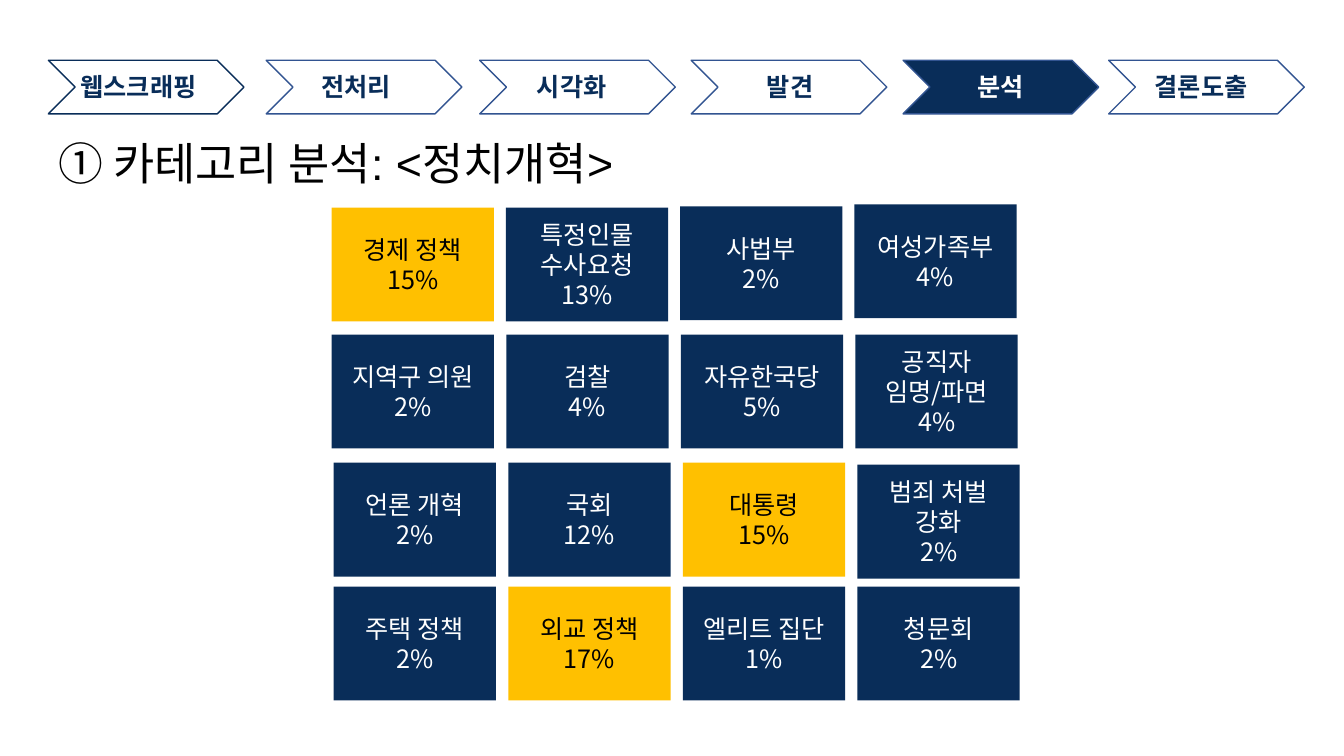
from dataclasses import dataclass

import pptx
import pptx.dml.color
import pptx.enum.shapes
import pptx.enum.text
import pptx.oxml
import pptx.oxml.ns
import pptx.util

Cm, Pt = pptx.util.Cm, pptx.util.Pt
ALIGN = pptx.enum.text.PP_ALIGN
ANCHOR = pptx.enum.text.MSO_ANCHOR
SHAPE = pptx.enum.shapes.MSO_SHAPE

COLORS = {"navy": "092D59", "gold": "FFC000", "line": "325491",
          "white": "FFFFFF", "black": "000000"}
KOREAN = "Noto Sans CJK KR"

# Sizes in centimetres
STEP_TOP, STEP_W, STEP_H = 1.52, 4.93, 1.35
LABEL_TOP, LABEL_H = 1.68, 1.02
TILE_W, TILE_H = 4.09, 2.87


@dataclass
class Step:
    label: str
    left: float
    label_left: float
    label_width: float
    fill: str | None = None
    line: str = "line"
    color: str = "navy"


@dataclass
class Tile:
    text: str
    highlight: bool = False
    drop: float = 0


@dataclass
class TileRow:
    left: float
    top: float
    pitch: float
    tiles: list[Tile]


STEPS = [
    Step("웹스크래핑", 1.22, 1.78, 3.78, fill="white", line="navy"),
    Step("전처리", 6.71, 7.85, 2.51),
    Step("시각화", 12.09, 13.28, 2.51),
    Step("발견", 17.42, 19.08, 2.01),
    Step("분석", 22.76, 22.76, STEP_W, fill="navy", color="white"),
    Step("결론도출", 27.94, 28.85, 3.1),
]

ROWS = [
    TileRow(8.36, 5.23, 4.39, [
        Tile("경제 정책\n15%", highlight=True), Tile("특정인물\n수사요청\n13%"),
        Tile("사법부\n2%", drop=-0.03), Tile("여성가족부\n4%", drop=-0.08)]),
    TileRow(8.36, 8.43, 4.4, [
        Tile("지역구 의원\n2%"), Tile("검찰\n4%"),
        Tile("자유한국당\n5%"), Tile("공직자\n임명/파면\n4%")]),
    TileRow(8.41, 11.66, 4.4, [
        Tile("언론 개혁\n2%"), Tile("국회\n12%"),
        Tile("대통령\n15%", highlight=True), Tile("범죄 처벌 강화\n2%", drop=0.05)]),
    TileRow(8.41, 14.78, 4.4, [
        Tile("주택 정책\n2%"), Tile("외교 정책\n17%", highlight=True),
        Tile("엘리트 집단\n1%"), Tile("청문회\n2%")]),
]


def rgb(name: str) -> pptx.dml.color.RGBColor:
    return pptx.dml.color.RGBColor.from_string(COLORS[name])


def write(sp, text: str, color: str, size: float = 18, font: str = KOREAN,
          bold: bool = False, align=ALIGN.LEFT, anchor=ANCHOR.TOP) -> None:
    tf = sp.text_frame
    tf.text = text
    tf.word_wrap = True
    tf.vertical_anchor = anchor
    for p in tf.paragraphs:
        p.alignment = align
        for r in p.runs:
            r.font.size = Pt(size)
            r.font.bold = bold
            r.font.name = font
            r.font.color.rgb = rgb(color)
            # East Asian typeface follows the Latin one
            ea = pptx.oxml.parse_xml(
                f'<a:ea {pptx.oxml.ns.nsdecls("a")} typeface="{KOREAN}"/>')
            r.font._element.find(pptx.oxml.ns.qn("a:latin")).addnext(ea)


def add_title(s) -> None:
    sp = s.shapes.title
    sp.left, sp.top, sp.width, sp.height = Cm(1.22), Cm(3.3), Cm(15.01), Cm(1.63)
    write(sp, "① 카테고리 분석: <정치개혁>", "black", size=32, font="Arial")
    sp.text_frame.auto_size = pptx.enum.text.MSO_AUTO_SIZE.SHAPE_TO_FIT_TEXT


def add_tile(s, tile: Tile, left: float, top: float) -> None:
    sp = s.shapes.add_shape(SHAPE.RECTANGLE, Cm(left), Cm(top), Cm(TILE_W), Cm(TILE_H))
    sp.shadow.inherit = False
    sp.fill.solid()
    sp.fill.fore_color.rgb = rgb("gold" if tile.highlight else "navy")
    sp.line.fill.background()
    write(sp, tile.text, "black" if tile.highlight else "white",
          align=ALIGN.CENTER, anchor=ANCHOR.MIDDLE)


def add_step(s, step: Step) -> None:
    sp = s.shapes.add_shape(SHAPE.CHEVRON, Cm(step.left), Cm(STEP_TOP),
                            Cm(STEP_W), Cm(STEP_H))
    sp.shadow.inherit = False
    if step.fill:
        sp.fill.solid()
        sp.fill.fore_color.rgb = rgb(step.fill)
    else:
        sp.fill.background()
    sp.line.color.rgb = rgb(step.line)
    sp.line.width = Pt(1)
    label = s.shapes.add_textbox(Cm(step.label_left), Cm(LABEL_TOP),
                                 Cm(step.label_width), Cm(LABEL_H))
    centred = step.label_width == STEP_W
    write(label, step.label, step.color, bold=True,
          align=ALIGN.CENTER if centred else ALIGN.LEFT)


def main() -> None:
    prs = pptx.Presentation()
    prs.slide_width, prs.slide_height = Cm(33.87), Cm(19.05)
    s = prs.slides.add_slide(prs.slide_layouts[5])

    add_title(s)

    # Category grid
    for row in ROWS:
        for col, tile in enumerate(row.tiles):
            add_tile(s, tile, row.left + col * row.pitch, row.top + tile.drop)

    # Process steps across the top
    for step in STEPS:
        add_step(s, step)

    prs.save("out.pptx")


if __name__ == "__main__":
    main()
